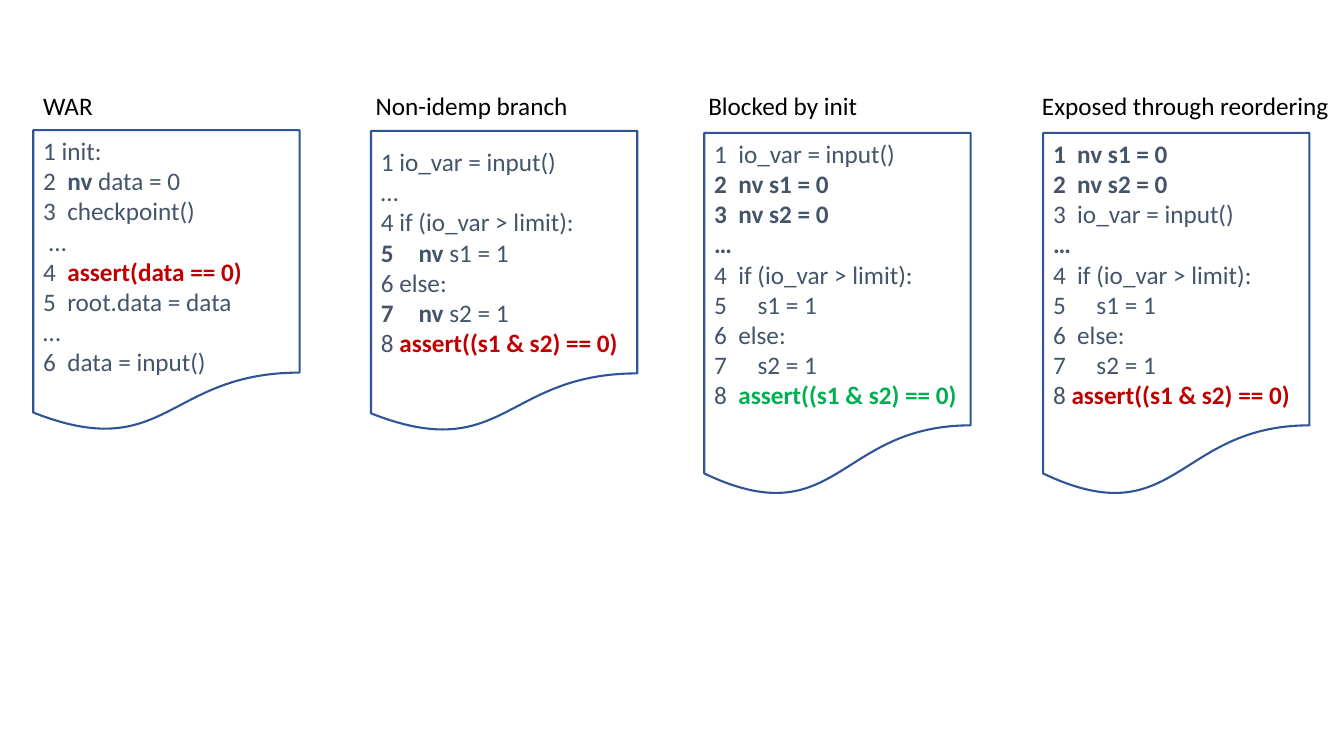
from dataclasses import dataclass
from enum import Enum

from lxml import etree
from pptx import Presentation
from pptx.dml.color import RGBColor
from pptx.enum.shapes import MSO_SHAPE
from pptx.enum.text import MSO_ANCHOR, MSO_AUTO_SIZE, PP_ALIGN
from pptx.oxml.ns import qn
from pptx.util import Cm, Pt

DOCUMENT = MSO_SHAPE.FLOWCHART_DOCUMENT
TOP, MIDDLE = MSO_ANCHOR.TOP, MSO_ANCHOR.MIDDLE
LEFT = PP_ALIGN.LEFT
GROW = MSO_AUTO_SIZE.SHAPE_TO_FIT_TEXT
BLANK_LAYOUT = 6


@dataclass(frozen=True)
class Theme:
    """Colours and type sizes of the slide."""
    font: str = "Calibri"
    size: Pt = Pt(18)
    outline_width: Pt = Pt(1.5)
    paper: RGBColor = RGBColor(0xFF, 0xFF, 0xFF)
    outline: RGBColor = RGBColor(0x2F, 0x55, 0x97)
    caption: RGBColor = RGBColor(0, 0, 0)
    code: RGBColor = RGBColor(0x44, 0x54, 0x6A)
    fails: RGBColor = RGBColor(0xC0, 0, 0)
    holds: RGBColor = RGBColor(0, 0xB0, 0x50)


THEME = Theme()


class Tone(Enum):
    """How a piece of code is set: colour and weight."""
    PLAIN = (THEME.code, False)
    STRONG = (THEME.code, True)
    FAILS = (THEME.fails, True)
    HOLDS = (THEME.holds, True)


@dataclass(frozen=True)
class Piece:
    """A stretch of code in one tone."""
    text: str
    tone: Tone = Tone.PLAIN


@dataclass(frozen=True)
class Line:
    """One line of code, numbered automatically when number is set."""
    pieces: tuple[Piece, ...]
    number: int | None = None


@dataclass(frozen=True)
class Listing:
    """A captioned code sheet, with lengths in centimetres."""
    caption: str
    caption_left: float
    caption_width: float
    left: float
    top: float
    height: float
    lines: tuple[Line, ...]
    anchor: MSO_ANCHOR = TOP


SHEET_WIDTH = Cm(6.71)
CAPTION_TOP, CAPTION_HEIGHT = Cm(2.16), Cm(1.02)
NUMBER_INDENT = Cm(0.95)
CHECK = "assert((s1 & s2) == 0)"


def plain(text: str, number: int | None = None) -> Line:
    """Make a line in the plain tone."""
    return Line((Piece(text),), number)


def strong(text: str) -> Line:
    """Make a line that is bold throughout."""
    return Line((Piece(text, Tone.STRONG),))


def checked(lead: str, check: str, tone: Tone) -> Line:
    """Make a line that ends in a coloured assertion."""
    return Line((Piece(lead), Piece(check, tone)))


def branch(gap: str) -> tuple[Line, ...]:
    """Make lines 4 to 7, the branch shared by the last two listings."""
    return (plain("4  if (io_var > limit):"), plain(" s1 = 1", 5),
            plain(f"6{gap}else:"), plain(" s2 = 1", 7))


LISTINGS = (
    Listing("WAR", 0.84, 5.59, 0.84, 3.28, 7.62, (
        plain("1 init:"),
        Line((Piece("2  "), Piece("nv", Tone.STRONG), Piece(" data = 0"))),
        plain("3  checkpoint()"),
        plain(" …"),
        checked("4  ", "assert(data == 0)", Tone.FAILS),
        plain("5  root.data = data"),
        plain("…"),
        plain("6  data = input()"))),
    Listing("Non-idemp branch", 9.22, 5.89, 9.35, 3.3, 7.62, (
        plain("1 io_var = input()"),
        plain("…"),
        plain("4 if (io_var > limit):"),
        Line((Piece("nv ", Tone.STRONG), Piece("s1 = 1")), 5),
        plain("6 else:"),
        Line((Piece("nv", Tone.STRONG), Piece(" s2 = 1")), 7),
        checked("8 ", CHECK, Tone.FAILS)), MIDDLE),
    Listing("Blocked by init", 17.6, 5.89, 17.75, 3.35, 9.19, (
        plain("1  io_var = input()"),
        strong("2  nv s1 = 0"),
        strong("3  nv s2 = 0"),
        strong("…"),
        *branch("  "),
        checked("8  ", CHECK, Tone.HOLDS))),
    Listing("Exposed through reordering", 26.01, 7.85, 26.29, 3.35, 9.19, (
        strong("1  nv s1 = 0"),
        strong("2  nv s2 = 0"),
        plain("3  io_var = input()"),
        strong("…"),
        *branch("  "),
        checked("8", f" {CHECK}", Tone.FAILS))),
)


def style(run, color: RGBColor, bold: bool = False) -> None:
    """Set the font of a run."""
    run.font.name = THEME.font
    run.font.size = THEME.size
    run.font.color.rgb = color
    run.font.bold = bold


def number_line(paragraph, start: int) -> None:
    """Number a paragraph automatically, with a hanging indent."""
    properties = paragraph._p.get_or_add_pPr()
    properties.set("marL", str(NUMBER_INDENT))
    properties.set("indent", str(-NUMBER_INDENT))
    etree.SubElement(properties, qn("a:buFont"), typeface="+mj-lt")
    etree.SubElement(properties, qn("a:buAutoNum"), type="arabicPlain", startAt=str(start))


def draw_sheet(slide, listing: Listing) -> None:
    """Draw the document outline with its code."""
    sheet = slide.shapes.add_shape(DOCUMENT, Cm(listing.left), Cm(listing.top),
                                   SHEET_WIDTH, Cm(listing.height))
    sheet.shadow.inherit = False
    sheet.fill.solid()
    sheet.fill.fore_color.rgb = THEME.paper
    sheet.line.color.rgb = THEME.outline
    sheet.line.width = THEME.outline_width
    code = sheet.text_frame
    code.word_wrap = True
    code.vertical_anchor = listing.anchor
    for index, line in enumerate(listing.lines):
        paragraph = code.add_paragraph() if index else code.paragraphs[0]
        paragraph.alignment = LEFT
        if line.number is not None:
            number_line(paragraph, line.number)
        for piece in line.pieces:
            run = paragraph.add_run()
            run.text = piece.text
            style(run, *piece.tone.value)


def draw_caption(slide, listing: Listing) -> None:
    """Write the caption above a sheet."""
    caption = slide.shapes.add_textbox(Cm(listing.caption_left), CAPTION_TOP,
                                       Cm(listing.caption_width), CAPTION_HEIGHT).text_frame
    caption.word_wrap = True
    caption.auto_size = GROW
    caption.text = listing.caption
    style(caption.paragraphs[0].runs[0], THEME.caption)


def main() -> None:
    """Build and save the slide."""
    deck = Presentation()
    deck.slide_width, deck.slide_height = Cm(33.87), Cm(19.05)
    slide = deck.slides.add_slide(deck.slide_layouts[BLANK_LAYOUT])
    for listing in LISTINGS:
        draw_sheet(slide, listing)
        draw_caption(slide, listing)
    deck.save("out.pptx")


main()
